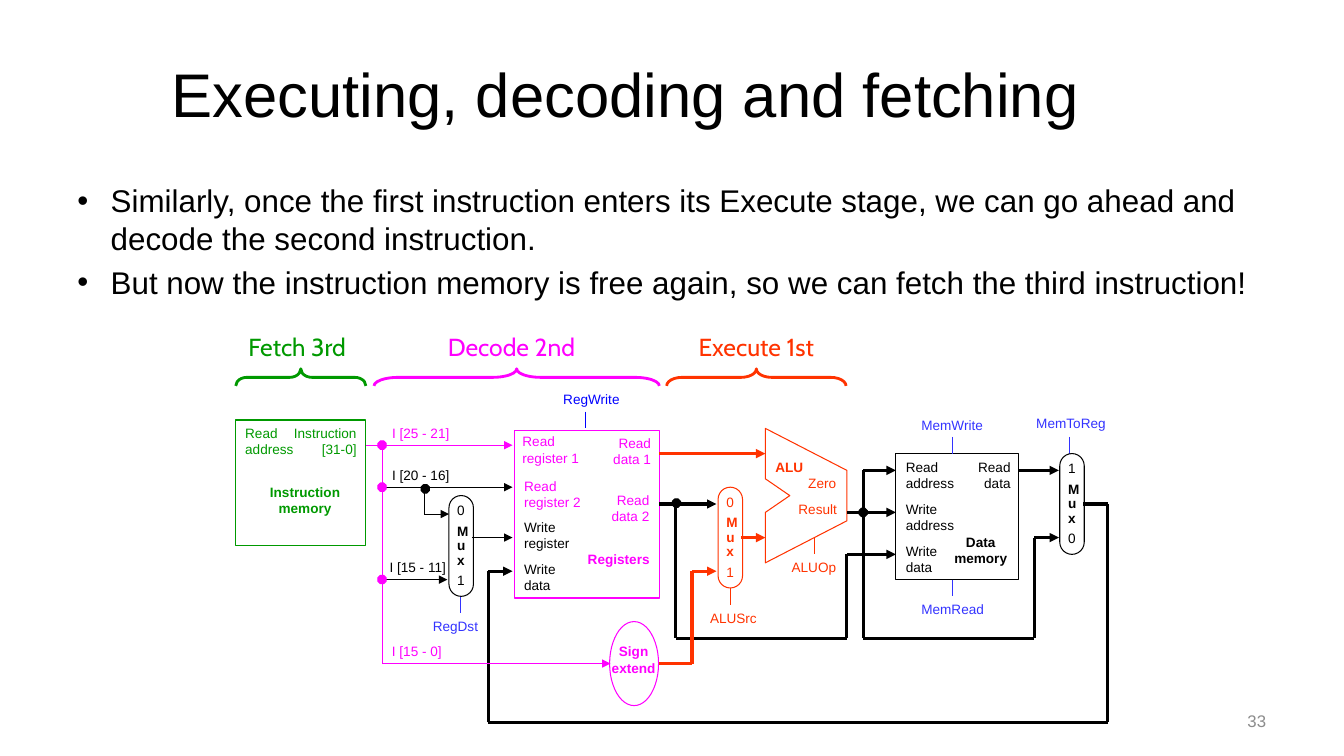
from itertools import pairwise

from lxml import etree
from pptx import Presentation
from pptx.dml.color import RGBColor
from pptx.enum.shapes import MSO_CONNECTOR, MSO_SHAPE
from pptx.enum.text import MSO_ANCHOR, MSO_AUTO_SIZE, PP_ALIGN
from pptx.oxml.ns import qn
from pptx.util import Cm, Pt

LEFT, CENTER, RIGHT = PP_ALIGN.LEFT, PP_ALIGN.CENTER, PP_ALIGN.RIGHT
TOP, MIDDLE = MSO_ANCHOR.TOP, MSO_ANCHOR.MIDDLE
RECTANGLE, ELLIPSE = MSO_SHAPE.RECTANGLE, MSO_SHAPE.OVAL
ROUNDED, OCTAGON, BRACE = MSO_SHAPE.ROUNDED_RECTANGLE, MSO_SHAPE.OCTAGON, MSO_SHAPE.LEFT_BRACE
STRAIGHT = MSO_CONNECTOR.STRAIGHT

BLACK = RGBColor(0, 0, 0)
GRAY = RGBColor(0x8C, 0x8C, 0x8C)
GREEN = RGBColor(0, 0x99, 0)
MAGENTA = RGBColor(0xFF, 0, 0xFF)
ORANGE = RGBColor(0xFF, 0x33, 0)
BLUE = RGBColor(0x33, 0x33, 0xFF)
DEEP_BLUE = RGBColor(0, 0, 0xFF)
THIN, THICK = 0.75, 2.25

# Content: slide text
TITLE = "Executing, decoding and fetching"
BULLETS = [
    "Similarly, once the first instruction enters its Execute stage, we can go ahead and decode the second instruction.",
    "But now the instruction memory is free again, so we can fetch the third instruction!",
]
PAGE_NUMBER = "33"

# Stages: name, label centre, brace centre, brace span (cm), colour
STAGES = [
    ("Fetch 3rd", 7.49, 7.58, 3.28, GREEN),
    ("Decode 2nd", 12.89, 13.02, 7.19, MAGENTA),
    ("Execute 1st", 19.06, 19.06, 4.52, ORANGE),
]

# Datapath, in grid columns and rows
# Units: shape, column, row, columns wide, rows high, colour
UNITS = [
    (RECTANGLE, 0, 50, 16, 15, GREEN),
    (RECTANGLE, 34.2, 51.2, 17.8, 20, MAGENTA),
    (RECTANGLE, 81, 54, 15, 15, BLACK),
    (ELLIPSE, 45.9, 74, 6, 10, MAGENTA),
]
ALU = [(65, 51), (65, 57), (68, 59), (65, 61), (65, 67), (75, 62), (75, 56)]
# Multiplexers: column, row, upper input, lower input, colour
MUXES = [(26.2, 59, "0", "1", BLACK), (59.2, 58, "0", "1", ORANGE), (101.1, 54, "1", "0", BLACK)]

# Wires: colour, width, arrow at the end, corner points
WIRES = [
    (BLACK, THICK, True, [(96, 56), (101, 56)]),
    (BLACK, THICK, True, [(75, 61), (81, 61)]),
    (BLACK, THICK, True, [(77, 56), (81, 56)]),
    (BLACK, THICK, True, [(77, 56), (77, 76), (98, 76), (98, 64), (101, 64)]),
    (BLACK, THICK, True, [(104, 60), (107, 60), (107, 86), (31, 86), (31, 68), (34, 68)]),
    (BLACK, THICK, True, [(52, 60), (59, 60)]),
    (BLACK, THICK, True, [(54, 60), (54, 76), (75, 76), (75, 66), (81, 66)]),
    (ORANGE, THICK, True, [(52, 54), (65, 54)]),
    (ORANGE, THICK, True, [(52, 79), (56, 79), (56, 68), (59, 68)]),
    (ORANGE, THICK, True, [(62, 64), (65, 64)]),
    (MAGENTA, THIN, True, [(16, 53), (34, 53)]),
    (MAGENTA, THIN, True, [(18, 53), (18, 79), (46, 79)]),
    (BLACK, THIN, True, [(18, 58), (34, 58)]),
    (BLACK, THIN, True, [(18, 69), (26, 69)]),
    (BLACK, THIN, True, [(29, 64), (34, 64)]),
    (BLACK, THIN, True, [(23.2, 58.2), (23.2, 61.2), (26.2, 61.2)]),
    (BLUE, THIN, False, [(88, 52), (88, 54)]),
    (BLUE, THIN, False, [(88, 69), (88, 71)]),
    (BLUE, THIN, False, [(102.3, 52), (102.3, 54)]),
    (BLUE, THIN, False, [(27.6, 71), (27.6, 73)]),
    (DEEP_BLUE, THIN, False, [(43, 49), (43, 51)]),
    (ORANGE, THIN, False, [(60.7, 70), (60.7, 72)]),
    (ORANGE, THIN, False, [(71, 64), (71, 66)]),
]
JUNCTIONS = [
    (18, 53, MAGENTA), (18, 58, MAGENTA), (18, 69, MAGENTA),
    (23.3, 58.2, BLACK), (54.1, 59.9, BLACK), (77, 61, BLACK),
]

# Labels: lines, column, row, columns wide, alignment, bold, colour
LABELS = [
    (["Read", "address"], 0, 50, 8.4, LEFT, False, GREEN),
    (["Instruction", "memory"], 3, 57, 11.1, CENTER, True, GREEN),
    (["Instruction", "[31-0]"], 5.8, 50, 10.3, RIGHT, False, GREEN),
    (["I [25 - 21]"], 18, 50, 9.6, LEFT, False, MAGENTA),
    (["I [20 - 16]"], 18, 55, 9.6, LEFT, False, BLACK),
    (["I [15 - 11]"], 17.7, 66, 9.6, LEFT, False, BLACK),
    (["I [15 - 0]"], 18, 76, 8.7, LEFT, False, MAGENTA),
    (["RegDst"], 23, 73, 8, LEFT, False, BLUE),
    (["RegWrite"], 39, 46, 9.4, LEFT, False, DEEP_BLUE),
    (["Read", "register 1"], 34, 51, 9.5, LEFT, False, MAGENTA),
    (["Read", "register 2"], 34.2, 56.3, 9.5, LEFT, False, MAGENTA),
    (["Write", "register"], 34.2, 61.2, 8, LEFT, False, BLACK),
    (["Write", "data"], 34.2, 66.2, 7.2, LEFT, False, BLACK),
    (["Read", "data 1"], 45, 51.2, 7.2, RIGHT, False, MAGENTA),
    (["Read", "data 2"], 44.8, 58, 7.2, RIGHT, False, MAGENTA),
    (["Registers"], 42, 65, 10.1, LEFT, True, MAGENTA),
    (["Sign", "extend"], 44.7, 76, 8.3, CENTER, True, MAGENTA),
    (["ALUSrc"], 57, 72, 8.3, LEFT, False, ORANGE),
    (["ALU"], 65, 54, 5.9, LEFT, True, ORANGE),
    (["Zero"], 68.5, 56, 6.4, RIGHT, False, ORANGE),
    (["Result"], 67.8, 59, 7.2, RIGHT, False, ORANGE),
    (["ALUOp"], 67, 66, 7.9, LEFT, False, ORANGE),
    (["Read", "address"], 81, 54, 8.4, LEFT, False, BLACK),
    (["Write", "address"], 81, 59, 8.4, LEFT, False, BLACK),
    (["Write", "data"], 81, 64, 7.2, LEFT, False, BLACK),
    (["Read", "data"], 89.1, 54, 7.2, RIGHT, False, BLACK),
    (["Data", "memory"], 86.8, 63, 9.2, CENTER, True, BLACK),
    (["MemWrite"], 82.9, 49, 10.3, LEFT, False, BLUE),
    (["MemRead"], 82.9, 71, 10.3, LEFT, False, BLUE),
    (["MemToReg"], 97, 48.8, 11.2, LEFT, False, BLUE),
]

# Grid: 107 columns across the datapath, 90 rows down the slide
GRID_LEFT, COLUMN, ROW = 5.93, 21.99 / 107, 19.05 / 90

deck = Presentation()
deck.slide_width, deck.slide_height = Cm(33.87), Cm(19.05)
page = deck.slides.add_slide(deck.slide_layouts[6])


def grid_point(column, row):
    return Cm(GRID_LEFT + column * COLUMN), Cm(row * ROW)


def add_text(lines, place, size, color, align=LEFT, anchor=TOP, wrap=True, bold=False, font="Arial"):
    box = page.shapes.add_textbox(*place)
    frame_format = {"word_wrap": wrap, "vertical_anchor": anchor,
                    "auto_size": MSO_AUTO_SIZE.NONE if wrap else MSO_AUTO_SIZE.SHAPE_TO_FIT_TEXT}
    for name, value in frame_format.items():
        setattr(box.text_frame, name, value)
    for index, line in enumerate(lines):
        para = box.text_frame.paragraphs[0] if index == 0 else box.text_frame.add_paragraph()
        para.alignment = align
        span = para.add_run()
        span.text = line
        for name, value in {"name": font, "size": Pt(size), "bold": bold}.items():
            setattr(span.font, name, value)
        span.font.color.rgb = color
    return box.text_frame.paragraphs


def style_outline(shape, color, width=THIN, filled=False):
    shape.shadow.inherit = False
    shape.line.color.rgb = color
    shape.line.width = Pt(width)
    if filled:
        shape.fill.solid()
        shape.fill.fore_color.rgb = color
    else:
        shape.fill.background()


# Title, bullets and page number
add_text([TITLE], (Cm(1.7), Cm(0.76), Cm(28.14), Cm(3.18)), 44, BLACK, CENTER, MIDDLE)
add_text([PAGE_NUMBER], (Cm(24.26), Cm(17.65), Cm(7.9), Cm(1.02)), 12, GRAY, RIGHT, MIDDLE)
bullets = add_text(BULLETS, (Cm(1.7), Cm(4.45), Cm(30.48), Cm(3.2)), 22.4, BLACK)
for bullet in bullets:
    properties = bullet._p.get_or_add_pPr()
    properties.set("marL", str(Cm(0.84)))
    properties.set("indent", str(-Cm(0.84)))
    etree.SubElement(properties, qn("a:buFont")).set("typeface", "Arial")
    etree.SubElement(properties, qn("a:buChar")).set("char", "•")
bullets[1].space_before = Pt(4.5)

# Units and ALU
for kind, column, row, wide, high, color in UNITS:
    unit = page.shapes.add_shape(kind, *grid_point(column, row), Cm(wide * COLUMN), Cm(high * ROW))
    style_outline(unit, color)
corners = [grid_point(*corner) for corner in ALU]
outline = page.shapes.build_freeform(*corners[0])
outline.add_line_segments(corners[1:], close=True)
style_outline(outline.convert_to_shape(), ORANGE)

# Wires
for color, width, arrow, points in WIRES:
    for start, end in pairwise(points):
        wire = page.shapes.add_connector(STRAIGHT, *grid_point(*start), *grid_point(*end))
        wire.line.color.rgb = color
        wire.line.width = Pt(width)
        if arrow and end == points[-1]:
            etree.SubElement(wire.line._get_or_add_ln(), qn("a:tailEnd")).set("type", "triangle")
        etree.SubElement(wire._element.spPr, qn("a:effectLst"))

# Junction dots
DOT = Cm(0.21)
for column, row, color in JUNCTIONS:
    x, y = grid_point(column, row)
    style_outline(page.shapes.add_shape(OCTAGON, x - DOT // 2, y - DOT // 2, DOT, DOT), color, filled=True)

# Multiplexers
for column, row, upper, lower, color in MUXES:
    mux = page.shapes.add_shape(ROUNDED, *grid_point(column, row), Cm(3 * COLUMN), Cm(12 * ROW))
    mux.adjustments[0] = 0.5
    style_outline(mux, color)
    letters = add_text([upper, *"Mux", lower], (*grid_point(column - 0.2, row + 0.2), Cm(0.79), Cm(2.49)),
                       9.7, color, wrap=False)
    for letter in letters[1:4]:
        letter.runs[0].font.bold = True
    for letter in letters[2:4]:
        letter.line_spacing = 0.9
    for letter in (letters[1], letters[4]):
        letter.space_before = Pt(2.9)

# Datapath labels
for lines, column, row, wide, align, bold, color in LABELS:
    height = Cm(0.23 + 0.43 * len(lines))
    add_text(lines, (*grid_point(column, row), Cm(wide * COLUMN), height), 9.7, color, align, wrap=False, bold=bold)

# Stage braces, turned to lie flat
BRACE_DEPTH, BRACE_MIDDLE, LABEL_WIDTH = 0.43, 9.51, 3.78
for name, label_center, brace_center, length, color in STAGES:
    brace = page.shapes.add_shape(BRACE, Cm(brace_center - BRACE_DEPTH / 2), Cm(BRACE_MIDDLE - length / 2),
                                  Cm(BRACE_DEPTH), Cm(length))
    brace.rotation = 90
    brace.adjustments[0] = length / 5.08
    style_outline(brace, color, 2)
    add_text([name], (Cm(label_center - LABEL_WIDTH / 2), Cm(8.23), Cm(LABEL_WIDTH), Cm(1.02)),
             17.6, color, CENTER, MIDDLE, wrap=False, font="Cabin")

deck.save("out.pptx")
